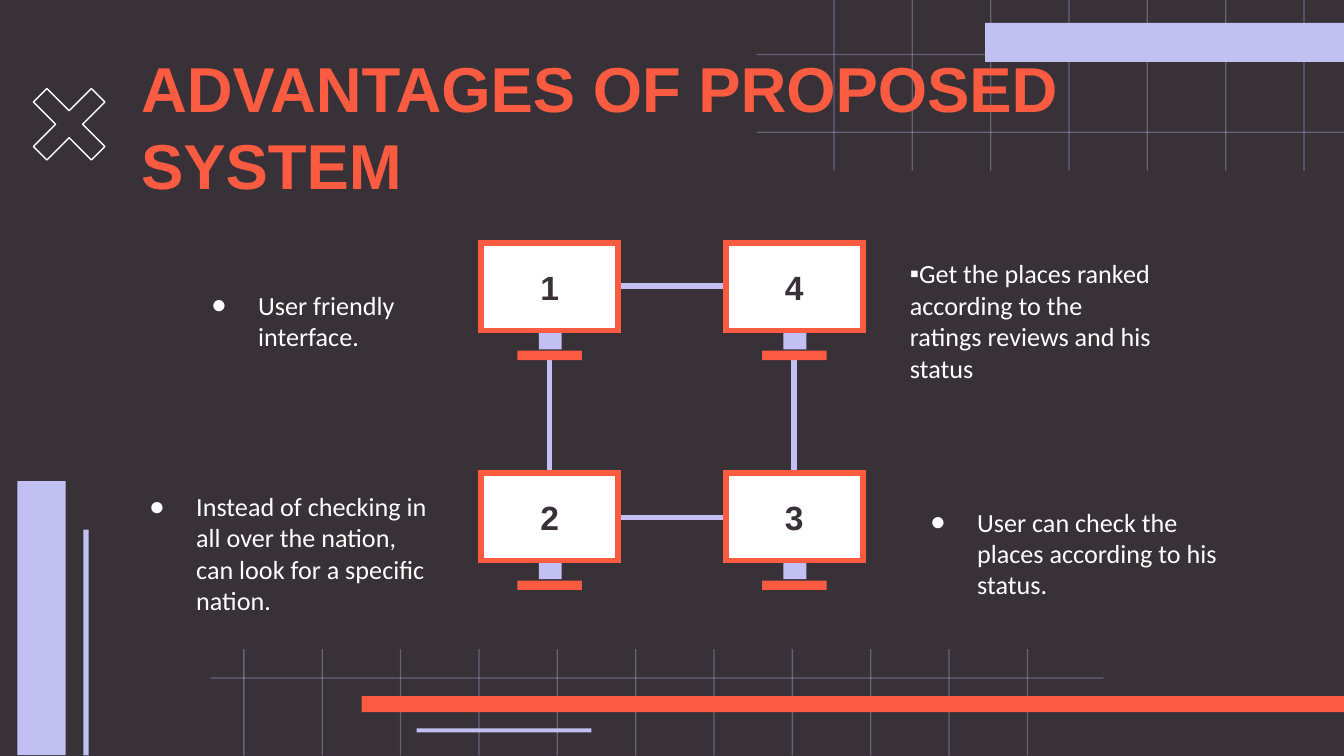
import pptx
import pptx.util
import pptx.dml.color
import pptx.enum.shapes
import pptx.enum.text
import pptx.oxml
import pptx.oxml.ns

Inches, Pt = pptx.util.Inches, pptx.util.Pt
RGB = pptx.dml.color.RGBColor.from_string
Shape = pptx.enum.shapes.MSO_SHAPE
Align = pptx.enum.text.PP_ALIGN
Anchor = pptx.enum.text.MSO_ANCHOR
ns = pptx.oxml.ns.nsdecls("a")
hues = {"dark": "383138", "lilac": "C2C0F2", "red": "FA5B41", "white": "FFFFFF"}

# A 16:9 slide
deck = pptx.Presentation()
deck.slide_width, deck.slide_height = Inches(10), Inches(10 * 9 / 16)
slide = deck.slides.add_slide(deck.slide_layouts.get_by_name("Comparison"))
slide.background.fill.solid()
slide.background.fill.fore_color.rgb = RGB(hues["dark"])


def add_bar(x, y, w, h, hue, alpha=100):
    bar = slide.shapes.add_shape(Shape.RECTANGLE, Inches(x), Inches(y), Inches(w), Inches(h))
    bar.shadow.inherit = False
    bar.fill.solid()
    bar.fill.fore_color.rgb = RGB(hues[hue])
    bar.line.fill.background()
    if alpha < 100:
        tint = bar.fill._xPr.find(".//" + pptx.oxml.ns.qn("a:srgbClr"))
        tint.append(pptx.oxml.parse_xml(f'<a:alpha {ns} val="{alpha * 1000}"/>'))
    return bar


def set_text(shape, text, font, size, hue, bold):
    frame = shape.text_frame
    frame.text = text
    frame.word_wrap = True
    frame.auto_size = pptx.enum.text.MSO_AUTO_SIZE.NONE
    frame.vertical_anchor = Anchor.MIDDLE
    frame.margin_left = frame.margin_right = Inches(0.1)
    frame.margin_top = frame.margin_bottom = Inches(0.1)
    par = frame.paragraphs[0]
    par.space_before = Pt(0)
    par.line_spacing = 1.0
    run = par.runs[0].font
    run.name, run.size, run.bold = font, Pt(size), bold
    run.color.rgb = RGB(hues[hue])
    return par


# Faint grids: first column, column count, top, bottom, left, right, rows
grids = [
    (6.2, 7, 0, 1.27, 5.63, 10, (0.4, 0.98)),
    (1.81, 11, 4.83, 5.62, 1.57, 8.21, (5.04,)),
]
step = 0.583
for first, count, top, base, left, right, rows in grids:
    for col in range(count):
        add_bar(first + col * step, top, 0.01, base - top, "lilac", 35)
    for row in rows:
        add_bar(left, row, right - left, 0.01, "lilac", 35)

# Accent bars
for x, y, w, h, hue in [
    (2.69, 5.18, 7.31, 0.12, "red"),
    (0.13, 3.58, 0.36, 2.04, "lilac"),
    (0.62, 3.94, 0.04, 1.68, "lilac"),
    (3.1, 5.42, 1.3, 0.03, "lilac"),
    (7.33, 0.17, 2.67, 0.29, "lilac"),
]:
    add_bar(x, y, w, h, hue)

# Outlined cross
cross = slide.shapes.add_shape(
    Shape.MATH_MULTIPLY, Inches(0.1), Inches(0.51), Inches(0.83), Inches(0.83))
cross.adjustments[0] = 0.171
cross.shadow.inherit = False
cross.fill.background()
cross.line.color.rgb = RGB(hues["white"])
cross.line.width = Pt(0.75)

# Links between the screens
for x1, y1, x2, y2 in [
    (4.6, 2.13, 5.4, 2.13),
    (5.91, 2.68, 5.91, 3.52),
    (4.09, 2.68, 4.09, 3.52),
    (4.6, 3.85, 5.4, 3.85),
]:
    link = slide.shapes.add_connector(
        pptx.enum.shapes.MSO_CONNECTOR.STRAIGHT,
        Inches(x1), Inches(y1), Inches(x2), Inches(y2))
    link.line.color.rgb = RGB(hues["lilac"])
    link.line.width = Pt(3)
    link._element.spPr.append(pptx.oxml.parse_xml(f"<a:effectLst {ns}/>"))

# Title and advantages, placed in front of the grids
title, *notes = slide.placeholders
tree = title._element.getparent()
tree.append(title._element)
title.left, title.top = Inches(0.95), Inches(0.59)
title.width, title.height = Inches(8.08), Inches(0.69)
set_text(title, "ADVANTAGES OF PROPOSED SYSTEM", "Arial", 34, "red", True).alignment = Align.LEFT

items = [
    (1.32, 2.12, 2.02, "●", 0.5, -0.35, "User friendly interface."),
    (6.67, 2.12, 2.02, "▪", 0, 0,
     "Get the places ranked according to the ratings reviews and his status"),
    (0.86, 3.85, 2.47, "●", 0.5, -0.35,
     "Instead of checking in all over the nation, can look for a specific nation."),
    (6.67, 3.85, 2.55, "●", 0.5, -0.35, "User can check the places according to his status."),
]
for note, (x, y, w, mark, left, hang, text) in zip(notes, items):
    tree.append(note._element)
    note.left, note.top = Inches(x), Inches(y)
    note.width, note.height = Inches(w), Inches(0.53)
    par = set_text(note, text, "Calibri", 14, "white", False)
    par.alignment = Align.LEFT
    props = par._p.get_or_add_pPr()
    props.set("marL", str(Inches(left)))
    props.set("indent", str(Inches(hang)))
    for bit in (
        f'<a:buClr {ns}><a:srgbClr val="{hues["white"]}"/></a:buClr>',
        f'<a:buFont {ns} typeface="Arial"/>',
        f'<a:buChar {ns} char="{mark}"/>',
    ):
        props.append(pptx.oxml.parse_xml(bit))

# Numbered screens, each on a neck and a foot
for label, x, y in [("1", 3.58, 1.81), ("4", 5.4, 1.81), ("2", 3.58, 3.52), ("3", 5.4, 3.52)]:
    add_bar(x + 0.27, y + 0.8, 0.48, 0.07, "red")
    add_bar(x + 0.43, y + 0.65, 0.17, 0.14, "lilac")
    screen = add_bar(x, y, 1.02, 0.65, "white")
    screen.line.color.rgb = RGB(hues["red"])
    screen.line.width = Pt(3)
    screen.line._ln.append(pptx.oxml.parse_xml(f'<a:miter {ns} lim="800000"/>'))
    set_text(screen, label, "Arial", 18, "dark", True).alignment = Align.CENTER

deck.save("out.pptx")
